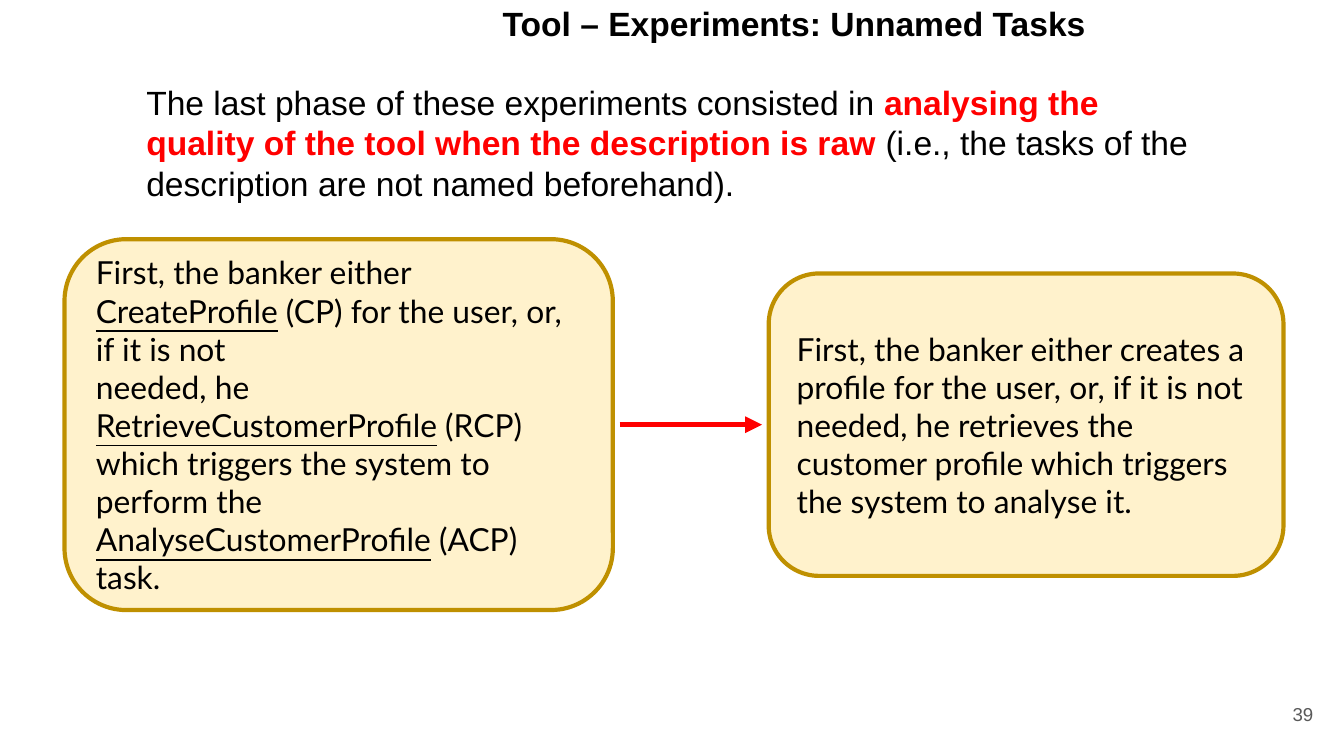
from lxml import etree
from pptx import Presentation
from pptx import util as u
from pptx.dml.color import RGBColor
from pptx.enum import shapes, text
from pptx.oxml.ns import qn

BLACK = RGBColor(0x00, 0x00, 0x00)
RED = RGBColor(0xFF, 0x00, 0x00)
GREY = RGBColor(0x59, 0x59, 0x59)
CREAM = RGBColor(0xFF, 0xF2, 0xCC)
GOLD = RGBColor(0xBF, 0x90, 0x00)

# Run formats
BODY = dict(name="Arial", size=u.Pt(18), color=BLACK)
HEADING = dict(BODY, bold=True)
STRONG = dict(HEADING, color=RED)
NUMBER = dict(name="Arial", size=u.Pt(10), color=GREY)
STORY = dict(name="Lato", size=u.Pt(17), color=BLACK)
TASK = dict(STORY, underline=True)

# Content: each text is a list of paragraphs, each paragraph a list of (words, format)
TITLE = [[("Tool – Experiments: Unnamed Tasks", HEADING)]]
INTRO = [[
    ("The last phase of these experiments consisted in ", BODY),
    ("analysing the quality of the tool when the description is raw", STRONG),
    (" (i.e., the tasks of the description are not named beforehand).", BODY),
]]
NAMED = [
    [("First, the banker either ", STORY), ("CreateProfile", TASK),
     (" (CP) for the user, or, if it is not", STORY)],
    [("needed, he ", STORY), ("RetrieveCustomerProfile", TASK),
     (" (RCP) which triggers the system to perform the ", STORY),
     ("AnalyseCustomerProfile", TASK), (" (ACP) task.", STORY)],
]
RAW = [[("First, the banker either creates a profile for the user, or, if it is not "
         "needed, he retrieves the customer profile which triggers the system to "
         "analyse it.", STORY)]]
PAGE_NUMBER = [[("39", NUMBER)]]

# A 16:9 slide; both cards and the arrow share one horizontal axis
SLIDE_WIDTH = u.Inches(10)
SLIDE_HEIGHT = SLIDE_WIDTH * 9 // 16
AXIS = 3.16
CARDS = [(0.48, 4.08, 2.76, NAMED), (5.72, 3.83, 2.25, RAW)]  # left, width, height, text
GAP = 0.05


def place(shape, left, top, width, height):
    shape.left, shape.top = u.Inches(left), u.Inches(top)
    shape.width, shape.height = u.Inches(width), u.Inches(height)


def write(shape, paragraphs, anchor=text.MSO_ANCHOR.TOP, align=text.PP_ALIGN.LEFT,
          inset_top=0.1):
    frame = shape.text_frame
    settings = dict(word_wrap=True, auto_size=text.MSO_AUTO_SIZE.NONE,
                    vertical_anchor=anchor, margin_top=u.Inches(inset_top))
    for side in ("left", "right", "bottom"):
        settings["margin_" + side] = u.Inches(0.1)
    for key, value in settings.items():
        setattr(frame, key, value)
    for index, runs in enumerate(paragraphs):
        para = frame.paragraphs[0] if index == 0 else frame.add_paragraph()
        para.alignment, para.line_spacing = align, 1.0
        for words, style in runs:
            span = para.add_run()
            span.text = words
            for key, value in style.items():
                if key == "color":
                    span.font.color.rgb = value
                else:
                    setattr(span.font, key, value)


deck = Presentation()
deck.slide_width, deck.slide_height = SLIDE_WIDTH, SLIDE_HEIGHT
page = deck.slides.add_slide(deck.slide_layouts[5])

# Title
title = page.shapes.title
place(title, 3.64, 0, 5.96, 0.36)
write(title, TITLE, inset_top=0.02)

# Introduction and page number
intro = page.shapes.add_textbox(0, 0, 0, 0)
place(intro, 0.99, 0.51, 8.15, 1.27)
write(intro, INTRO)

number = page.shapes.add_textbox(0, 0, 0, 0)
place(number, 9.27, 5.1, 0.6, 0.43)
write(number, PAGE_NUMBER, text.MSO_ANCHOR.MIDDLE, text.PP_ALIGN.RIGHT)

# Description cards
for left, width, height, story in CARDS:
    card = page.shapes.add_shape(shapes.MSO_SHAPE.ROUNDED_RECTANGLE, 0, 0, 0, 0)
    place(card, left, AXIS - height / 2, width, height)
    card.shadow.inherit = False
    card.fill.solid()
    card.fill.fore_color.rgb = CREAM
    card.line.color.rgb = GOLD
    card.line.width = u.Pt(2.25)
    write(card, story, text.MSO_ANCHOR.MIDDLE)

# Arrow from the named to the raw description
start = CARDS[0][0] + CARDS[0][1] + GAP
end = CARDS[1][0] - GAP
arrow = page.shapes.add_connector(shapes.MSO_CONNECTOR.STRAIGHT, u.Inches(start),
                                  u.Inches(AXIS), u.Inches(end), u.Inches(AXIS))
arrow.line.color.rgb = RED
arrow.line.width = u.Pt(3)
properties = arrow._element.spPr
etree.SubElement(properties.find(qn("a:ln")), qn("a:tailEnd"), type="triangle")
etree.SubElement(properties, qn("a:effectLst"))

deck.save("out.pptx")
